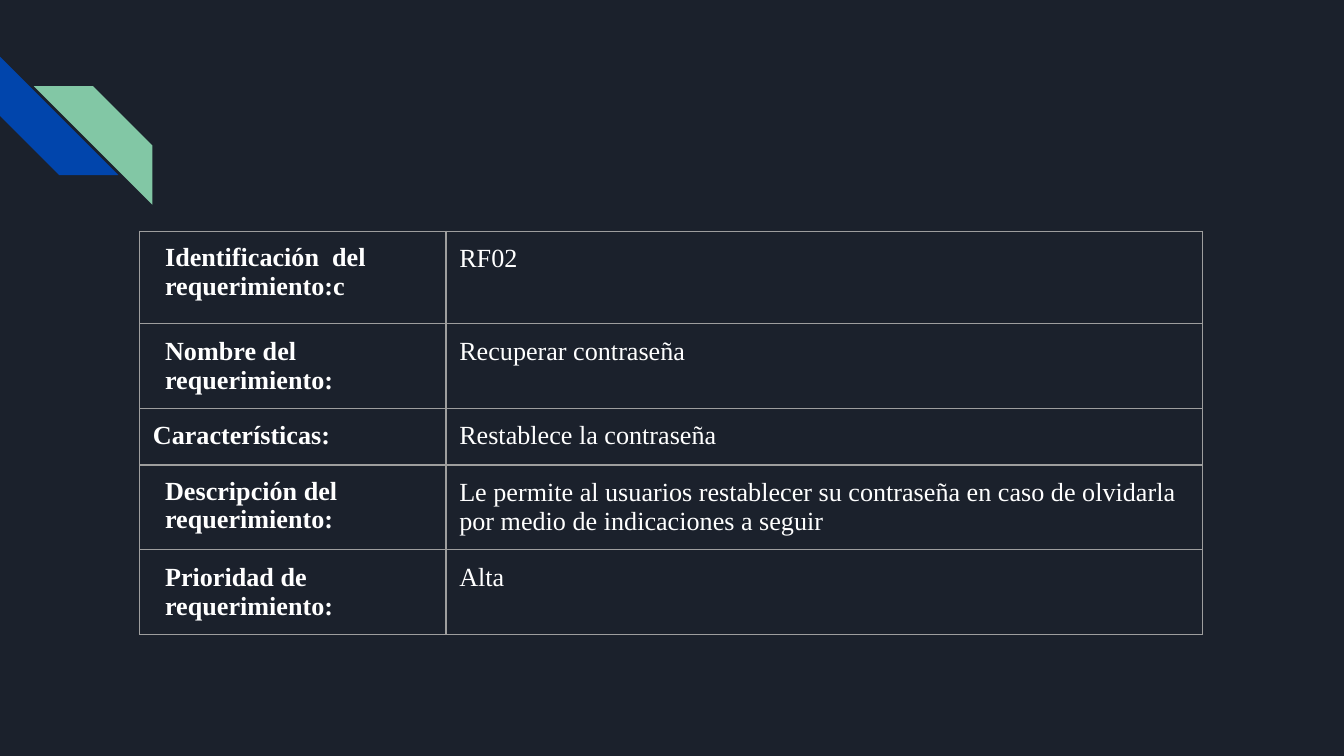
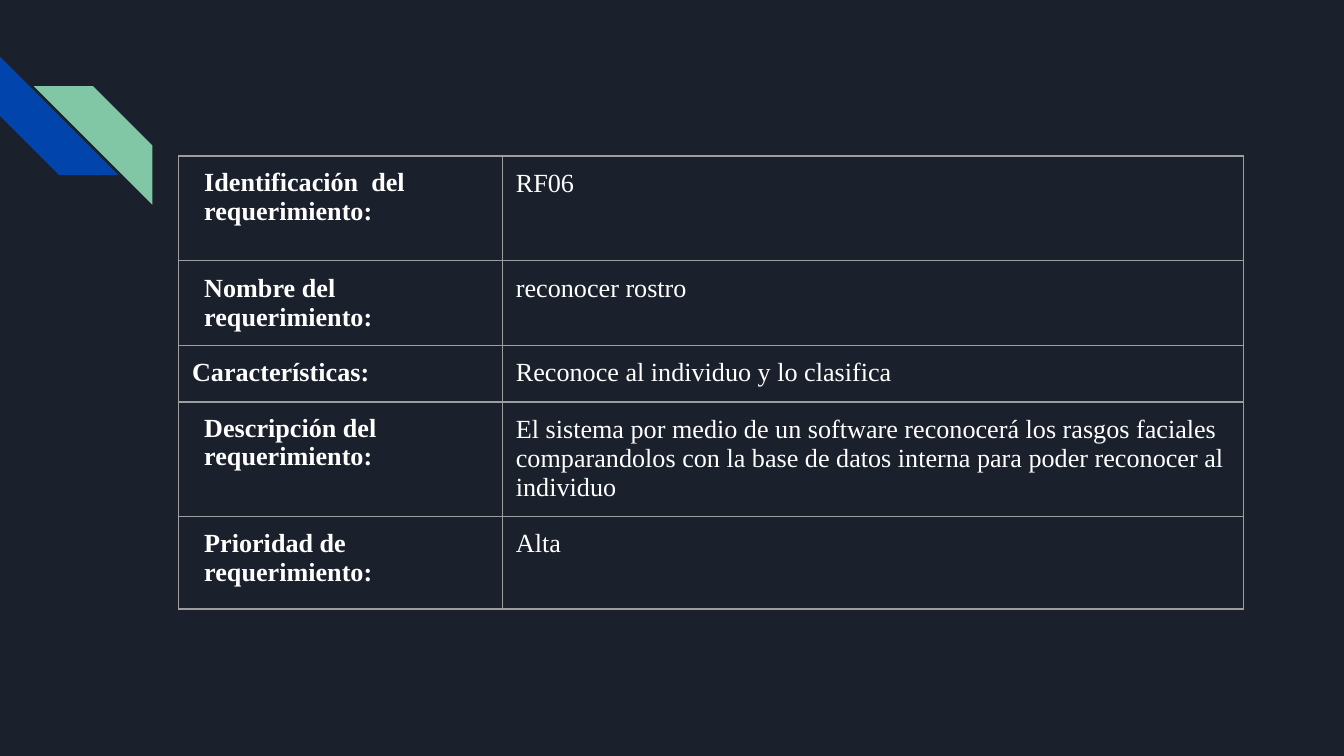
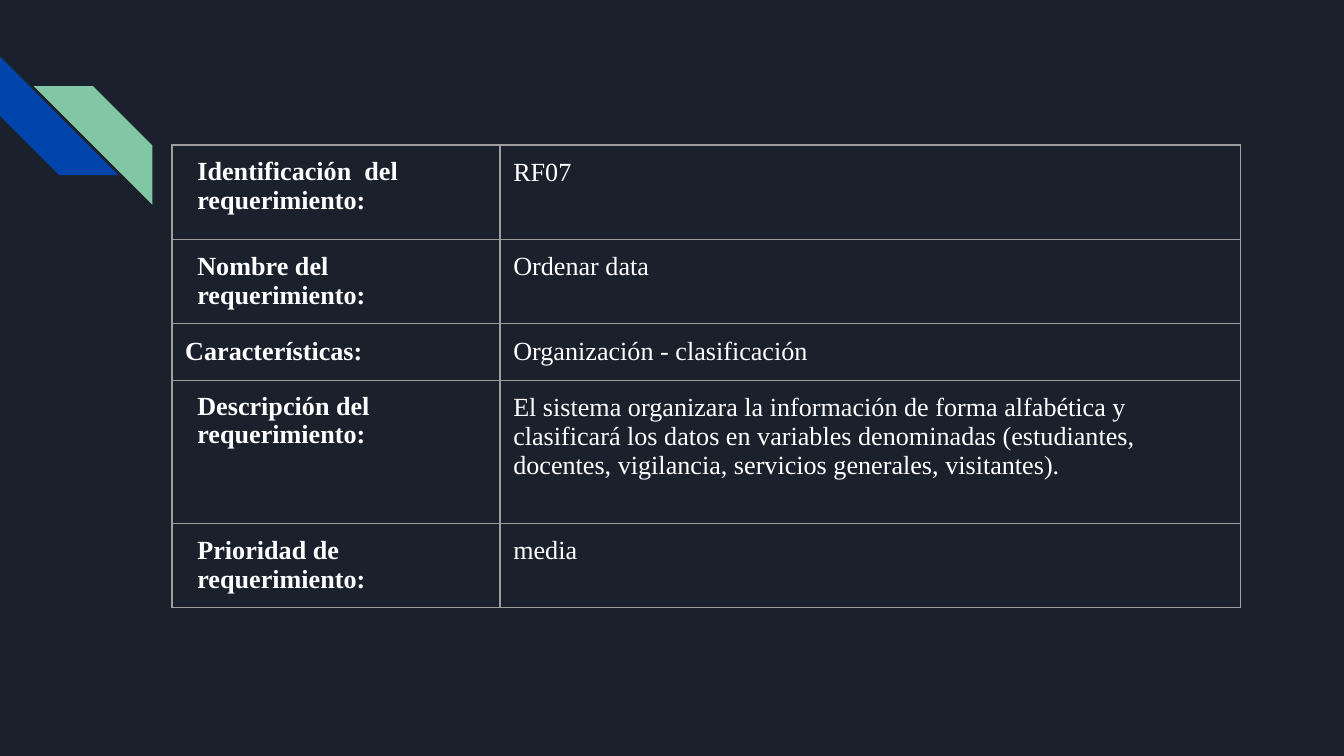
import pptx
import pptx.dml.color
import pptx.enum.shapes
import pptx.oxml
import pptx.oxml.ns
import pptx.util
from pptx.util import Cm

BACKGROUND = "1B212C"
BLUE = "0145AC"
GREEN = "82C7A5"
WHITE = "FFFFFF"
BORDER = "9E9E9E"
FONT = "Times New Roman"
INSET = Cm(0.25)
LABEL_INDENT = Cm(0.23)
TIGHT = 0.96

REQUIREMENTS = [
    {
        "corner": (2.64, 4.37),
        "columns": (5.79, 14.3),
        "rows": (1.75, 1.6, 1.07, 1.6, 1.6),
        "identifier_label": "requerimiento:c",
        "values": (
            "RF02",
            "Recuperar contraseña",
            "Restablece la contraseña",
            "Le permite al usuarios restablecer su contraseña en caso de "
            "olvidarla por medio de indicaciones a seguir",
            "Alta",
        ),
    },
    {
        "corner": (3.38, 2.95),
        "columns": (6.12, 14),
        "rows": (1.98, 1.6, 1.07, 2.16, 1.75),
        "identifier_label": "requerimiento:",
        "values": (
            "RF06",
            "reconocer rostro",
            "Reconoce al individuo y lo clasifica",
            "El sistema por medio de un software reconocerá los rasgos "
            "faciales comparandolos con la base de datos interna para poder "
            "reconocer al individuo",
            "Alta",
        ),
    },
    {
        "corner": (3.25, 2.74),
        "columns": (6.2, 14),
        "rows": (1.78, 1.6, 1.07, 2.7, 1.6),
        "identifier_label": "requerimiento:",
        "values": (
            "RF07",
            "Ordenar data",
            "Organización - clasificación",
            "El sistema organizara la información de forma alfabética y "
            "clasificará los datos en variables denominadas (estudiantes, "
            "docentes, vigilancia, servicios generales, visitantes).",
            "media",
        ),
    },
]


def color(value):
    return pptx.dml.color.RGBColor.from_string(value)


def add_stripe(page, left, top, fill, rotation=0, mirrored=False):
    stripe = page.shapes.add_shape(
        pptx.enum.shapes.MSO_SHAPE.DIAGONAL_STRIPE,
        Cm(left), Cm(top), Cm(2.24), Cm(2.24),
    )
    stripe.adjustments[0] = 0.5
    stripe.rotation = rotation
    stripe.shadow.inherit = False
    stripe.fill.solid()
    stripe.fill.fore_color.rgb = color(fill)
    stripe.line.fill.background()
    if mirrored:
        frame = stripe.element.spPr.find(pptx.oxml.ns.qn("a:xfrm"))
        frame.set("flipH", "1")
    return stripe


def move_to_layout(shapes, layout):
    for shape in shapes:
        layout.shapes.element.append(shape.element)


def set_borders(cell):
    properties = cell._tc.get_or_add_tcPr()
    for side in ("lnL", "lnR", "lnT", "lnB"):
        properties.append(pptx.oxml.parse_xml(
            f'<a:{side} {pptx.oxml.ns.nsdecls("a")} w="{pptx.util.Pt(0.75)}">'
            f'<a:solidFill><a:srgbClr val="{BORDER}"/></a:solidFill>'
            f'</a:{side}>'
        ))


def write_cell(cell, lines, bold=False, indent=0, first_spacing=None):
    set_borders(cell)
    cell.fill.background()
    cell.margin_left = cell.margin_right = INSET
    cell.margin_top = cell.margin_bottom = INSET
    cell.text = "\n".join(lines)
    for para in cell.text_frame.paragraphs:
        para.font.name = FONT
        para.font.size = pptx.util.Pt(14)
        para.font.bold = bold
        para.font.color.rgb = color(WHITE)
        if indent:
            para._p.get_or_add_pPr().set("marL", str(indent))
    if first_spacing:
        cell.text_frame.paragraphs[0].line_spacing = first_spacing


def add_requirement_table(page, requirement):
    labels = (
        (("Identificación  del", requirement["identifier_label"]), LABEL_INDENT, TIGHT),
        (("Nombre del", "requerimiento:"), LABEL_INDENT, None),
        (("Características:",), 0, None),
        (("Descripción del requerimiento:",), LABEL_INDENT, TIGHT),
        (("Prioridad de", "requerimiento:"), LABEL_INDENT, None),
    )
    left, top = requirement["corner"]
    columns, rows = requirement["columns"], requirement["rows"]
    table = page.shapes.add_table(
        len(rows), len(columns),
        Cm(left), Cm(top), Cm(sum(columns)), Cm(sum(rows)),
    ).table
    table.first_row = False
    table.horz_banding = False
    for column, width in zip(table.columns, columns):
        column.width = Cm(width)
    for row, height in zip(table.rows, rows):
        row.height = Cm(height)
    for index, (label, value) in enumerate(zip(labels, requirement["values"])):
        lines, indent, spacing = label
        write_cell(table.cell(index, 0), lines, True, indent, spacing)
        write_cell(table.cell(index, 1), (value,))
    identifier = table.cell(0, 0).text_frame.paragraphs[1]
    identifier.space_before = pptx.util.Pt(0.3)


def main():
    deck = pptx.Presentation()
    deck.slide_width, deck.slide_height = Cm(25.4), Cm(14.29)
    background = deck.slide_master.background.fill
    background.solid()
    background.fore_color.rgb = color(BACKGROUND)
    layout = deck.slide_layouts.get_by_name("Blank")
    pages = [deck.slides.add_slide(layout) for _ in REQUIREMENTS]
    stripes = (
        add_stripe(pages[0], 0, 1.07, BLUE, rotation=270),
        add_stripe(pages[0], 0.64, 1.63, GREEN, mirrored=True),
    )
    move_to_layout(stripes, layout)
    for page, requirement in zip(pages, REQUIREMENTS):
        add_requirement_table(page, requirement)
    deck.save("out.pptx")


if __name__ == "__main__":
    main()
